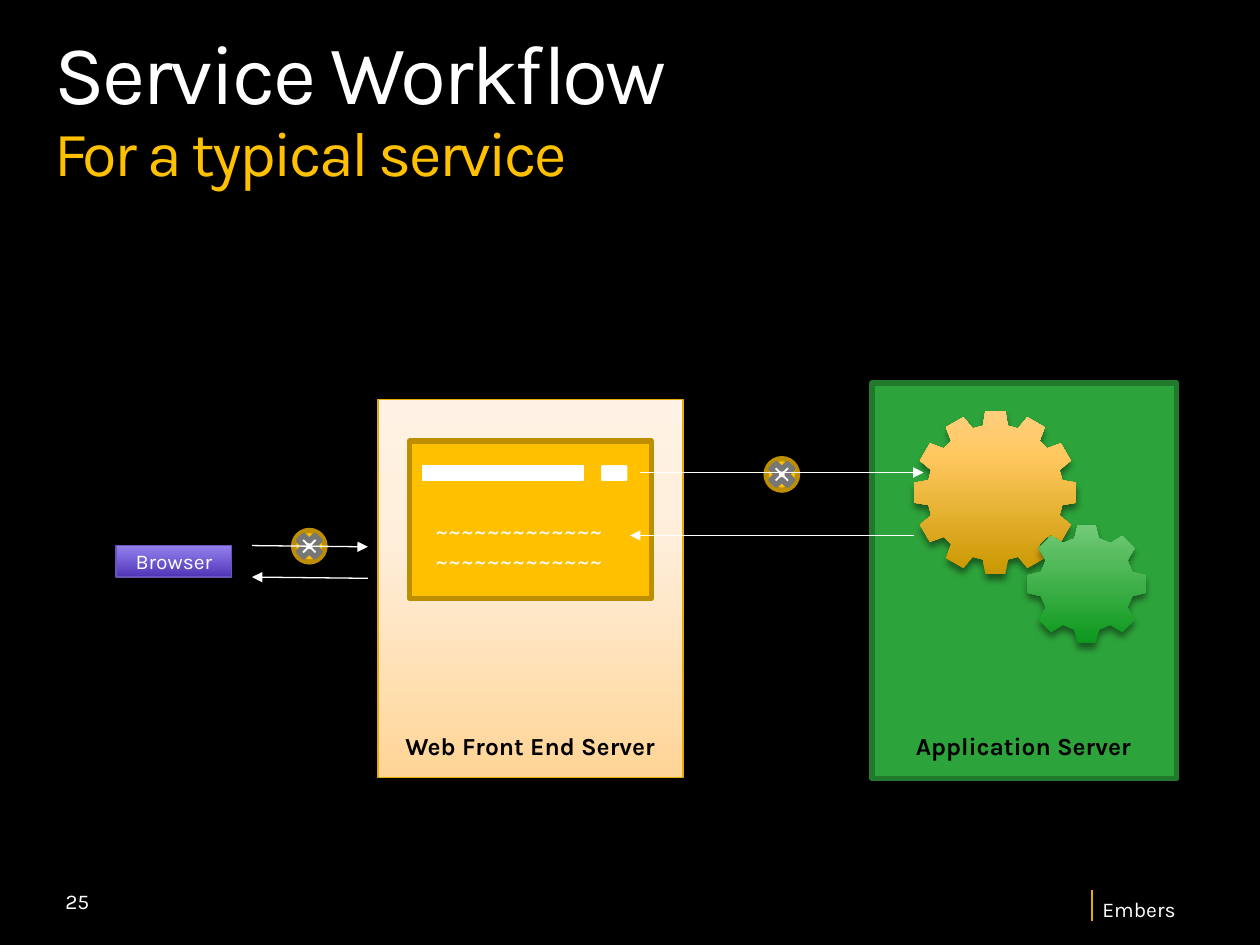
from copy import deepcopy
from math import cos, pi, sin

from lxml.etree import SubElement as Sub
from pptx import Presentation
from pptx.dml.color import RGBColor as RGB
from pptx.enum.shapes import MSO_CONNECTOR as Conn, MSO_SHAPE as Kind
from pptx.enum.text import MSO_ANCHOR as Anchor, PP_ALIGN as Align
from pptx.oxml.ns import qn
from pptx.util import Inches, Pt

BLACK, WHITE = RGB(0, 0, 0), RGB(255, 255, 255)
GOLD, OCHRE, AMBER = RGB(0xFF, 0xC0, 0), RGB(0xBD, 0x8E, 0), RGB(0xE7, 0xAE, 0)
GREEN, FOREST = RGB(0x2D, 0xA3, 0x3B), RGB(0x21, 0x79, 0x2C)
GRAY, VIOLET = RGB(0x77, 0x77, 0x77), RGB(0x6A, 0x54, 0xB8)
CREAM = [(0, RGB(0xFF, 0xD5, 0x97)), (0.62, RGB(0xFF, 0xEE, 0xDA)), (1, RGB(0xFF, 0xF3, 0xE5))]
PURPLE = [(0, RGB(0x50, 0x34, 0xB6)), (0.72, RGB(0x82, 0x6C, 0xE0)), (1, RGB(0x92, 0x7F, 0xEA))]
BRASS = [(0, RGB(0xC9, 0x98, 0)), (0.72, RGB(0xFF, 0xC7, 0x5E)), (1, RGB(0xFF, 0xCF, 0x7F))]
LEAF = [(0, RGB(0x0C, 0x98, 0x1D)), (0.72, RGB(0x57, 0xBC, 0x5E)), (1, RGB(0x73, 0xCA, 0x79))]
BASE = {"name": "Karla", "size": Pt(12)}
LABEL = {"size": Pt(14), "bold": True}
FLUSH = dict.fromkeys(("margin_left", "margin_top", "margin_right", "margin_bottom"), 0)


def apply(obj, vals):
    """Set attributes of an object from a dict."""
    for key, val in vals.items():
        setattr(obj, key, val)


def style(run, color, **vals):
    """Format one run of text."""
    apply(run.font, BASE | vals)
    run.font.color.rgb = color


def shade(shape, stops):
    """Fill a shape with a rising gradient and give it a soft shadow."""
    shape.fill.gradient()
    shape.fill.gradient_angle = 90
    props = shape._element.spPr
    first = props.find(f".//{qn('a:gs')}")
    first.addnext(deepcopy(first))
    for stop, (spot, color) in zip(shape.fill.gradient_stops, stops):
        stop.position = spot
        stop.color.rgb = color
    cast = Sub(props.find(qn("a:effectLst")), qn("a:outerShdw"), blurRad=str(Pt(4)),
               dist=str(Pt(3)), dir="5400000", algn="ctr", rotWithShape="0")
    Sub(Sub(cast, qn("a:srgbClr"), val="000000"), qn("a:alpha"), val="43000")


def paint(shape, fill, edge=None, width=3):
    """Set the fill and outline of a shape."""
    shape.shadow.inherit = False
    if isinstance(fill, list):
        shade(shape, fill)
    else:
        shape.fill.solid()
        shape.fill.fore_color.rgb = fill
    if edge is None:
        shape.line.fill.background()
    else:
        shape.line.color.rgb = edge
        shape.line.width = Pt(width)


def form(slide, kind, box, *look):
    """Draw a preset shape."""
    shape = slide.shapes.add_shape(kind, *map(Inches, box))
    paint(shape, *look)
    return shape


def inner(shape, lines, **vals):
    """Write centred white lines into a shape."""
    frame = shape.text_frame
    frame.vertical_anchor = Anchor.MIDDLE
    for i, line in enumerate(lines):
        para = frame.add_paragraph() if i else frame.paragraphs[0]
        para.alignment = Align.CENTER
        run = para.add_run()
        run.text = line
        style(run, WHITE, **vals)


def text(slide, box, parts, frame=None, space=None):
    """Place a text box whose parts are parted by line breaks."""
    body = slide.shapes.add_textbox(*map(Inches, box)).text_frame
    apply(body, {"word_wrap": True} | (frame or {}))
    para = body.paragraphs[0]
    para.line_spacing = space
    for i, (words, color, vals) in enumerate(parts):
        if i:
            para.add_line_break()
        run = para.add_run()
        run.text = words
        style(run, color, **vals)
    return para


def rule(slide, ends, color=WHITE, width=0.75, arrow=True):
    """Draw a straight line, with an arrowhead at its end if wanted."""
    line = slide.shapes.add_connector(Conn.STRAIGHT, *map(Inches, ends))
    line.line.color.rgb = color
    line.line.width = Pt(width)
    if arrow:
        Sub(line.line._get_or_add_ln(), qn("a:tailEnd"), type="triangle")
    Sub(line._element.spPr, qn("a:effectLst"))


def gear(slide, x, y, size, teeth, depth, tip, root, stops):
    """Draw a gear that fills a square box."""
    mid, pts = size / 2, []
    for i in range(teeth):
        for off, rad in ((-root, mid - depth), (-tip, mid), (tip, mid), (root, mid - depth)):
            turn = 2 * pi * i / teeth + off * pi / 180
            pts.append((Inches(x + mid + rad * cos(turn)), Inches(y + mid + rad * sin(turn))))
    path = slide.shapes.build_freeform(*pts[0])
    path.add_line_segments(pts[1:], close=True)
    paint(path.convert_to_shape(), stops)


def badge(slide, x, y):
    """Draw a round token with a cross."""
    box = (x, y, 0.25, 0.25)
    form(slide, Kind.OVAL, box, GOLD, OCHRE)
    form(slide, Kind.MATH_MULTIPLY, box, WHITE, GRAY)


def front(slide, x, y):
    """Draw the front end server with its page."""
    form(slide, Kind.RECTANGLE, (x, y, 2.42, 3), CREAM, AMBER, 0.75)
    form(slide, Kind.RECTANGLE, (x + 0.25, y + 0.33, 1.92, 1.25), GOLD, OCHRE)
    form(slide, Kind.RECTANGLE, (x + 0.33, y + 0.5, 1.33, 0.17), WHITE, GOLD)
    form(slide, Kind.ROUNDED_RECTANGLE, (x + 1.75, y + 0.5, 0.25, 0.17), WHITE, GOLD)
    page = form(slide, Kind.RECTANGLE, (x + 0.33, y + 0.91, 1.58, 0.5), GOLD)
    inner(page, ["~" * 13] * 2, size=Pt(14))
    text(slide, (x + 0.12, y + 2.58, 2.3, 0.34), [("Web Front End Server", BLACK, LABEL)])


def back(slide, x, y):
    """Draw the application server panel with its label."""
    form(slide, Kind.RECTANGLE, (x, y, 2.42, 3.14), GREEN, FOREST)
    text(slide, (x + 0.25, y + 2.71, 1.92, 0.34), [("Application Server", BLACK, LABEL)])


def gears(slide, x, y):
    """Draw the two meshed gears."""
    gear(slide, x, y, 1.3, 12, 0.11, 7, 10.5, BRASS)
    gear(slide, x + 0.9, y + 0.9, 0.95, 8, 0.1, 8.5, 15, LEAF)


def client(slide, x, y):
    """Draw the browser box."""
    box = form(slide, Kind.RECTANGLE, (x, y, 0.92, 0.25), PURPLE, VIOLET, 0.75)
    inner(box, ["Browser"])


def flow(slide):
    """Draw the request and reply arrows."""
    for ends in ((2, 4.33, 2.92, 4.34), (2.92, 4.59, 2, 4.58),
                 (5.08, 3.75, 7.33, 3.75), (7.25, 4.25, 5, 4.25)):
        rule(slide, ends)


def head(slide, x, y):
    """Write the title and its second line."""
    para = text(slide, (x, y, 9.15, 1.27),
                [("Service Workflow", WHITE, {"size": Pt(48)}),
                 ("For a typical service", GOLD, {"size": Pt(36)})], FLUSH, 0.9)
    for run in para.runs:
        run.font._element.set("spc", "-150")


def foot(slide, x, y):
    """Write the page number and the event name."""
    text(slide, (x, y, 2.33, 0.4), [("25", WHITE, {})], {"vertical_anchor": Anchor.MIDDLE})
    text(slide, (x + 8.33, y + 0.19, 0.83, 0.18), [("Embers", WHITE, {})], FLUSH, 0.9)
    rule(slide, (x + 8.25, y + 0.11, x + 8.25, y + 0.36), AMBER, 1.25, False)


def main():
    """Build the slide and save it."""
    deck = Presentation()
    apply(deck, {"slide_width": Inches(10), "slide_height": Inches(7.5)})
    slide = deck.slides.add_slide(deck.slide_layouts[6])
    slide.background.fill.solid()
    slide.background.fill.fore_color.rgb = BLACK
    badge(slide, 6.08, 3.64)
    badge(slide, 2.33, 4.21)
    back(slide, 6.92, 3.04)
    front(slide, 3, 3.17)
    client(slide, 0.92, 4.33)
    flow(slide)
    gears(slide, 7.25, 3.26)
    head(slide, 0.43, 0.25)
    foot(slide, 0.42, 6.95)
    deck.save("out.pptx")


if __name__ == "__main__":
    main()
